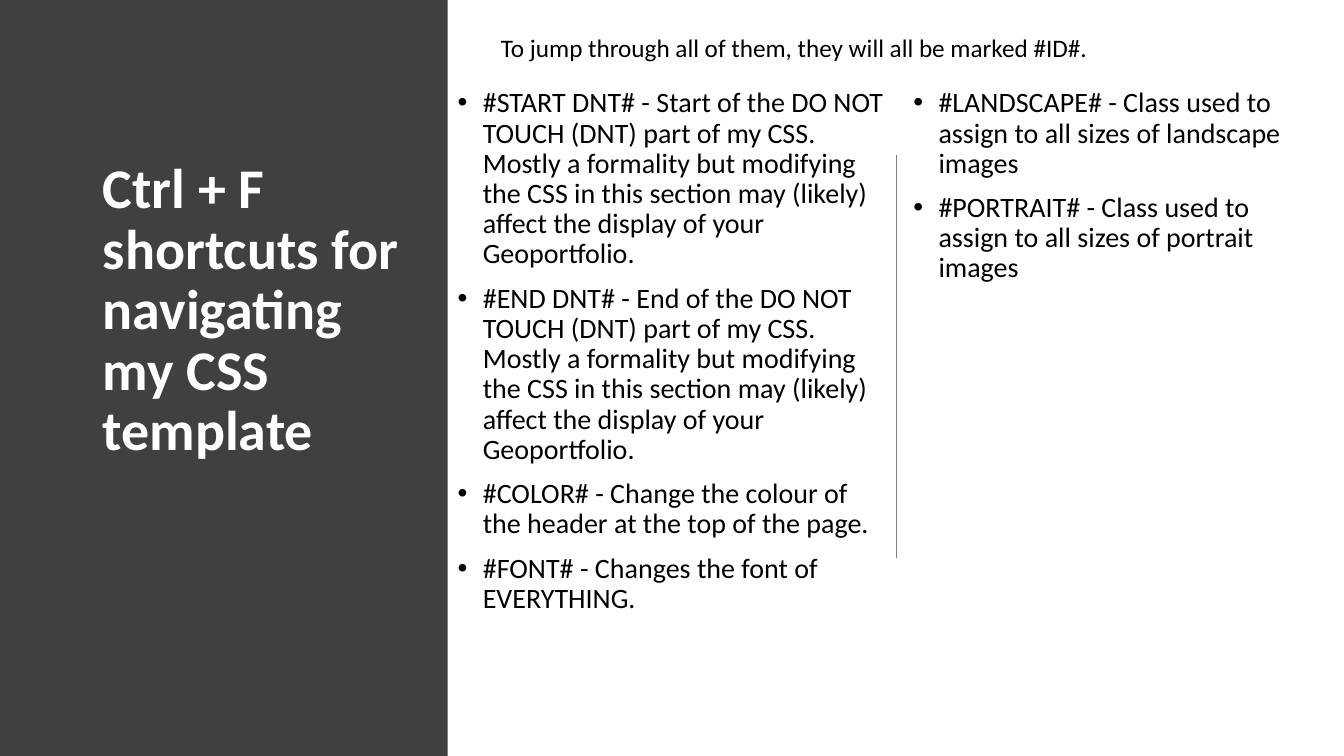
from dataclasses import dataclass

from lxml.etree import SubElement
from pptx import Presentation
from pptx.dml.color import RGBColor as RGB
from pptx.enum.shapes import MSO_CONNECTOR as CONNECTOR, MSO_SHAPE as SHAPE
from pptx.enum.text import MSO_ANCHOR as ANCHOR, MSO_AUTO_SIZE as AUTO, PP_ALIGN as ALIGN
from pptx.oxml.ns import qn
from pptx.util import Inches, Pt


@dataclass(frozen=True)
class Theme:
    """Colours, font and type sizes of the slide."""
    font: str = "Calibri"
    panel: RGB = RGB(0x40, 0x40, 0x40)
    rule: RGB = RGB(0x80, 0x80, 0x80)
    text: RGB = RGB(0, 0, 0)
    light: RGB = RGB(0xFF, 0xFF, 0xFF)
    title_size: int = 40
    body_size: int = 20
    note_size: int = 18


THEME = Theme()
TITLE = "Ctrl + F shortcuts for navigating my CSS template"
NOTE = "To jump through all of them, they will all be marked #ID#."
DNT = ("of the DO NOT TOUCH (DNT) part of my CSS. Mostly a formality but modifying "
       "the CSS in this section may (likely) affect the display of your Geoportfolio.")
GENERAL = [
    f"#START DNT# - Start {DNT}",
    f"#END DNT# - End {DNT}",
    "#COLOR# - Change the colour of the header at the top of the page.",
    "#FONT# - Changes the font of EVERYTHING.",
]
IMAGES = [f"#{name.upper()}# - Class used to assign to all sizes of {name} images"
          for name in ("landscape", "portrait")]


def style(p, size, color, bold=False):
    """Format every run of a paragraph."""
    for r in p.runs:
        r.font.name = THEME.font
        r.font.size = Pt(size)
        r.font.bold = bold
        r.font.color.rgb = color


def add_panel(s, left, top, width, height):
    """Add the dark side panel behind everything else."""
    sp = s.shapes.add_shape(SHAPE.RECTANGLE, Inches(left), Inches(top),
                            Inches(width), Inches(height))
    sp.shadow.inherit = False
    sp.fill.solid()
    sp.fill.fore_color.rgb = THEME.panel
    sp.line.fill.background()
    s.shapes._spTree.insert(2, sp._element)


def set_title(s, text, left, top, width, height):
    """Place and format the title placeholder."""
    sp = s.shapes.title
    sp.left, sp.top, sp.width, sp.height = map(Inches, (left, top, width, height))
    tf = sp.text_frame
    tf.text = text
    tf.word_wrap = True
    tf.auto_size = AUTO.NONE
    tf.vertical_anchor = ANCHOR.TOP
    p = tf.paragraphs[0]
    p.alignment = ALIGN.LEFT
    p.line_spacing = 0.9
    style(p, THEME.title_size, THEME.light, bold=True)


def add_text(s, paragraphs, size, left, top, width, height):
    """Add a wrapped text box and return its paragraphs."""
    tf = s.shapes.add_textbox(Inches(left), Inches(top),
                              Inches(width), Inches(height)).text_frame
    tf.word_wrap = True
    tf.text = "\n".join(paragraphs)
    for p in tf.paragraphs:
        style(p, size, THEME.text)
    return tf.paragraphs


def add_bullets(s, items, left, top, width, height):
    """Add a bulleted list with hanging indents."""
    for i, p in enumerate(add_text(s, items, THEME.body_size, left, top, width, height)):
        pPr = p._p.get_or_add_pPr()
        pPr.set("marL", str(Inches(0.25)))
        pPr.set("indent", str(-Inches(0.25)))
        SubElement(pPr, qn("a:buFont"), typeface="Arial")
        SubElement(pPr, qn("a:buChar"), char="•")
        p.line_spacing = 0.9
        p.space_before = Pt(10 if i else 0)


def add_divider(s, x, top, bottom):
    """Add the vertical rule between the columns."""
    line = s.shapes.add_connector(CONNECTOR.STRAIGHT, Inches(x), Inches(top),
                                  Inches(x), Inches(bottom))
    line.line.color.rgb = THEME.rule
    line.line.width = Pt(1)
    SubElement(line._element.spPr, qn("a:effectLst"))


def main():
    """Build the slide and save it."""
    prs = Presentation()
    prs.slide_width, prs.slide_height = Inches(13.33), Inches(7.5)
    s = prs.slides.add_slide(prs.slide_layouts[5])
    add_panel(s, 0, 0, 4.44, 7.5)
    set_title(s, TITLE, 0.92, 1.54, 3.17, 4.77)
    add_bullets(s, GENERAL, 4.44, 0.83, 4.45, 6.6)
    add_divider(s, 8.89, 1.54, 5.54)
    add_bullets(s, IMAGES, 8.96, 0.83, 4.22, 6.6)
    add_text(s, [NOTE], THEME.note_size, 4.87, 0.27, 7.87, 0.71)
    prs.save("out.pptx")


if __name__ == "__main__":
    main()
